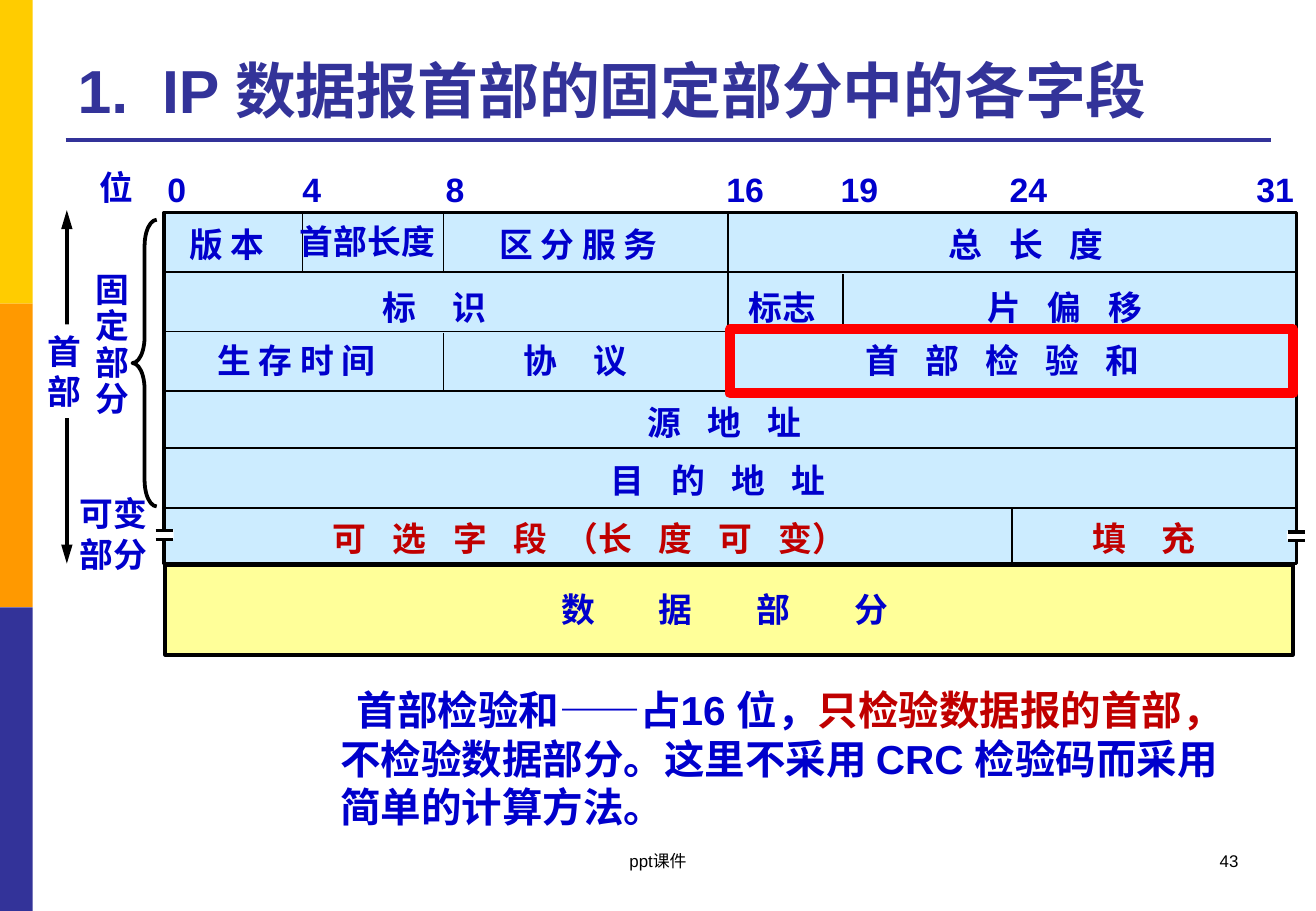
from dataclasses import dataclass
from typing import NamedTuple, Optional

from lxml.etree import SubElement
from pptx import Presentation
from pptx.dml.color import RGBColor
from pptx.enum.lang import MSO_LANGUAGE_ID
from pptx.enum.shapes import MSO_CONNECTOR, MSO_SHAPE
from pptx.enum.text import MSO_ANCHOR, PP_ALIGN
from pptx.oxml.ns import qn
from pptx.util import Emu, Pt

EMU_PER_PX = 9144  # 100 px to the inch


@dataclass(frozen=True)
class Theme:
    font: str = "Arial"
    yellow: str = "FFCC00"
    orange: str = "FF9900"
    indigo: str = "333399"
    blue: str = "0000CC"
    crimson: str = "C00000"
    red: str = "FF0000"
    black: str = "000000"
    white: str = "FFFFFF"
    header_fill: str = "CCECFF"
    data_fill: str = "FFFF99"
    title_size: int = 36
    note_size: int = 24
    label_size: int = 20
    footer_size: int = 10


THEME = Theme()


class Box(NamedTuple):
    left: int
    top: int
    width: int
    height: int


class Span(NamedTuple):
    """A stretch of text; spacing is extra points after each character."""
    text: str
    color: str = THEME.blue
    spacing: float = 0


class Label(NamedTuple):
    left: int
    top: int
    width: int
    spans: tuple[Span, ...]


class Rule(NamedTuple):
    x1: int
    y1: int
    x2: int
    y2: int


def px(length: int) -> Emu:
    return Emu(length * EMU_PER_PX)


def rgb(color: str) -> RGBColor:
    return RGBColor.from_string(color)


def add_block(slide, box: Box, fill: Optional[str] = None, line: Optional[str] = None,
              weight: float = 1, kind: MSO_SHAPE = MSO_SHAPE.RECTANGLE):
    block = slide.shapes.add_shape(kind, *map(px, box))
    block.shadow.inherit = False
    if fill:
        block.fill.solid()
        block.fill.fore_color.rgb = rgb(fill)
    else:
        block.fill.background()
    if line:
        block.line.color.rgb = rgb(line)
        block.line.width = Pt(weight)
    else:
        block.line.fill.background()
    return block


def add_rule(slide, rule: Rule, weight: float = 1, color: str = THEME.black):
    connector = slide.shapes.add_connector(MSO_CONNECTOR.STRAIGHT, *map(px, rule))
    connector.line.color.rgb = rgb(color)
    connector.line.width = Pt(weight)
    SubElement(connector._element.spPr, qn("a:effectLst"))
    return connector


def add_text(slide, box: Box, paragraphs: list[tuple[Span, ...]], size: int = THEME.label_size,
             bold: bool = True, wrap: bool = False, align: Optional[PP_ALIGN] = None,
             anchor: MSO_ANCHOR = MSO_ANCHOR.TOP, leading: Optional[float] = None):
    holder = slide.shapes.add_textbox(*map(px, box))
    frame = holder.text_frame
    frame.word_wrap = wrap
    frame.vertical_anchor = anchor
    for index, spans in enumerate(paragraphs):
        paragraph = frame.add_paragraph() if index else frame.paragraphs[0]
        paragraph.alignment = align
        paragraph.line_spacing = leading
        for span in spans:
            run = paragraph.add_run()
            run.text = span.text
            run.font.name = THEME.font
            run.font.size = Pt(size)
            run.font.bold = bold
            run.font.color.rgb = rgb(span.color)
            run.font.language_id = MSO_LANGUAGE_ID.SIMPLIFIED_CHINESE
            if span.spacing:
                run.font._element.set("spc", str(round(span.spacing * 100)))
    return holder


def add_break_mark(slide, left: int, top: int) -> None:
    """Draw the double dash that shows a side of variable length."""
    add_block(slide, Box(left, top, 16, 8), THEME.white)
    for y in (top + 1, top + 8):
        add_rule(slide, Rule(left + 1, y, left + 15, y), 2)


def field(left: int, top: int, width: int, text: str, spacing: float = 0,
          color: str = THEME.blue) -> Label:
    return Label(left, top, width, (Span(text, color, spacing),))


WIDE, WIDER, WIDEST = 5.56, 8.34, 16.68
BIT_MARKS = {"0": 128, "4": 239, "8": 357, "16": 588, "19": 682, "24": 821, "31": 1024}
ROW_LINES = (224, 273, 322, 369, 418)
FIELD_DIVIDERS = (
    Rule(249, 176, 249, 224), Rule(365, 176, 365, 224), Rule(365, 274, 365, 321),
    Rule(599, 176, 599, 321), Rule(833, 418, 833, 466), Rule(694, 226, 694, 273),
)
FIELDS = (
    field(146, 179, 84, "版 本"),
    field(237, 177, 132, "首部长度"),
    field(401, 179, 156, "区 分 服 务"),
    field(771, 179, 159, "总 长 度", WIDE),
    field(305, 231, 119, "标 识", WIDER),
    field(606, 231, 76, "标志"),
    field(803, 231, 159, "片 偏 移", WIDE),
    field(169, 275, 156, "生 存 时 间"),
    field(421, 275, 119, "协 议", WIDER),
    field(702, 275, 262, "首 部 检 验 和", WIDE),
    field(523, 326, 159, "源 地 址", WIDE),
    field(493, 374, 210, "目 的 地 址", WIDE),
    Label(264, 421, 456, (
        Span("可 选 字 ", THEME.crimson, WIDE), Span("段 ", THEME.crimson, WIDE / 2),
        Span("（", THEME.crimson), Span("长 度 可 ", THEME.crimson, WIDE),
        Span("变）", THEME.crimson))),
    field(889, 421, 119, "填 充", WIDER, THEME.crimson),
    field(72, 132, 48, "位"),
    field(452, 480, 345, "数 据 部 分", WIDEST),
)


def draw_frame(slide) -> None:
    for index, color in enumerate((THEME.yellow, THEME.orange, THEME.indigo)):
        add_block(slide, Box(0, index * 250, 27, 250), color)
    add_rule(slide, Rule(54, 115, 1046, 115), 2.25, THEME.indigo)
    title = (Span("1.", THEME.indigo), Span(" ", THEME.indigo, 10),
             Span("IP 数据报首部的固定部分中的各字段", THEME.indigo))
    add_text(slide, Box(54, 21, 991, 87), [title], THEME.title_size, wrap=True,
             anchor=MSO_ANCHOR.BOTTOM)
    for box, text, align in ((Box(776, 695, 253, 50), "43", PP_ALIGN.RIGHT),
                             (Box(370, 695, 343, 50), "ppt课件", PP_ALIGN.CENTER)):
        add_text(slide, box, [(Span(text, THEME.black),)], THEME.footer_size, bold=False,
                 wrap=True, align=align)


def draw_datagram(slide) -> None:
    add_block(slide, Box(135, 175, 932, 289), THEME.header_fill, THEME.black, 2)
    add_block(slide, Box(136, 465, 928, 74), THEME.data_fill, THEME.black, 2.25)
    for y in ROW_LINES:
        add_rule(slide, Rule(134, y, 1068, y))
    for divider in FIELD_DIVIDERS:
        add_rule(slide, divider)
    for bit, left in BIT_MARKS.items():
        add_text(slide, Box(left, 134, 36 if len(bit) == 1 else 51, 44), [(Span(bit),)])
    for label in FIELDS:
        add_text(slide, Box(label.left, label.top, label.width, 44), [label.spans])
    add_break_mark(slide, 127, 436)
    add_break_mark(slide, 1059, 437)


def draw_header_parts(slide) -> None:
    extent = add_rule(slide, Rule(55, 173, 55, 464), 2.25)
    for end in ("a:headEnd", "a:tailEnd"):
        SubElement(extent.line._get_or_add_ln(), qn(end), type="triangle", w="med", len="lg")
    header = add_text(slide, Box(29, 267, 48, 77), [(Span("首"),), (Span("部"),)])
    header.fill.solid()
    header.fill.fore_color.rgb = rgb(THEME.white)
    add_text(slide, Box(69, 220, 48, 131), [(Span(char),) for char in "固定部分"], leading=0.9)
    add_text(slide, Box(56, 401, 76, 77), [(Span("可变"),), (Span("部分"),)])
    brace = add_block(slide, Box(109, 181, 20, 236), None, THEME.black, 2.25,
                      MSO_SHAPE.LEFT_BRACE)
    brace.adjustments[0] = 1.08


def draw_checksum_note(slide) -> None:
    add_text(slide, Box(270, 559, 760, 131), [
        (Span("首部检验和——占16 位，"), Span("只检验数据报的首部，", THEME.crimson)),
        (Span("不检验数据部分。这里不采用 CRC 检验码而采用简单的计算方法。"),),
    ], THEME.note_size, wrap=True).text_frame.paragraphs[0].alignment = PP_ALIGN.CENTER
    add_block(slide, Box(601, 271, 463, 53), None, THEME.red, 6)


def main() -> None:
    deck = Presentation()
    deck.slide_width, deck.slide_height = px(1083), px(750)
    slide = deck.slides.add_slide(deck.slide_layouts[6])
    for draw in (draw_frame, draw_datagram, draw_header_parts, draw_checksum_note):
        draw(slide)
    deck.save("out.pptx")


if __name__ == "__main__":
    main()
